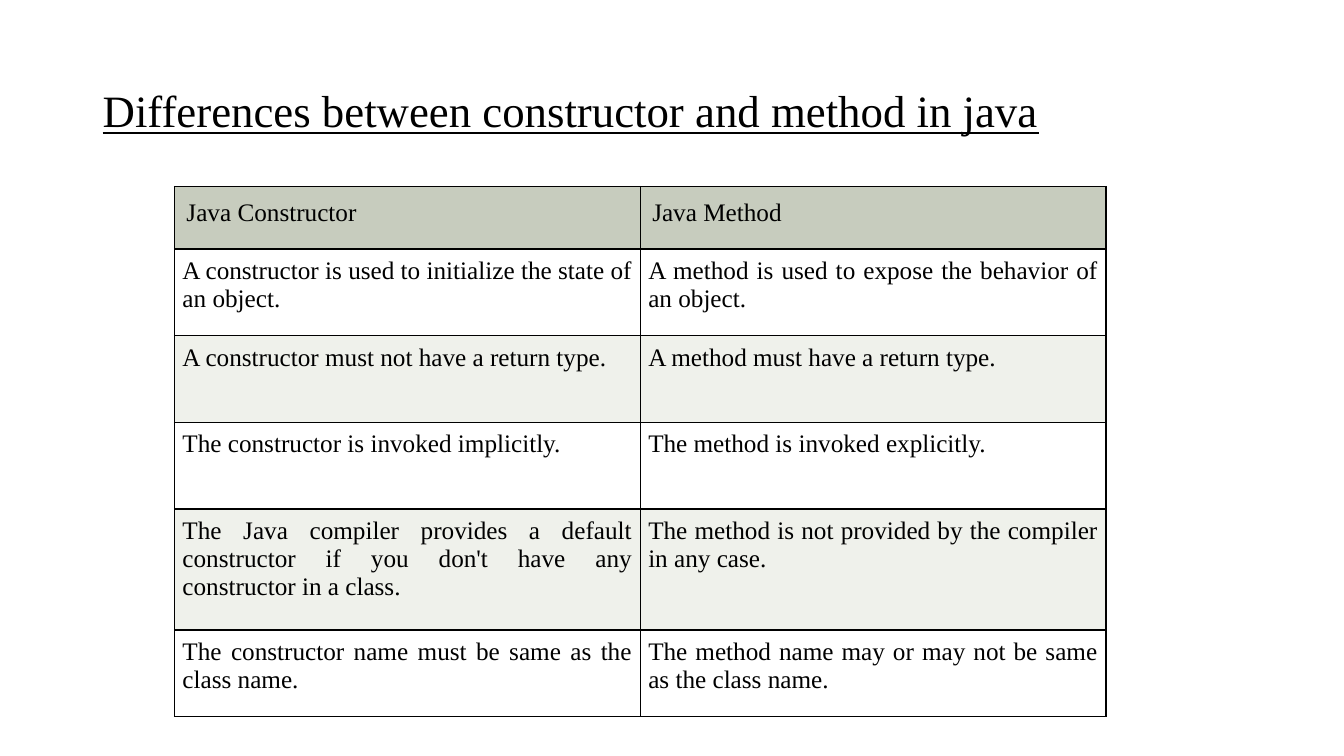
"""Build a slide with a table of differences between constructors and methods."""
from lxml.etree import SubElement
from pptx import Presentation
from pptx.dml.color import RGBColor
from pptx.enum.text import MSO_ANCHOR, PP_ALIGN
from pptx.oxml.ns import qn
from pptx.util import Inches, Pt

BLACK = RGBColor(0x00, 0x00, 0x00)
WHITE = RGBColor(0xFF, 0xFF, 0xFF)
SAGE = RGBColor(0xC7, 0xCC, 0xBE)
PALE = RGBColor(0xEF, 0xF1, 0xEB)
FONT = "Times New Roman"

ROWS = [
    (0.62, "Java Constructor", "Java Method"),
    (0.86, "A constructor is used to initialize the state of an object.",
     "A method is used to expose the behavior of an object."),
    (0.86, "A constructor must not have a return type.",
     "A method must have a return type."),
    (0.86, "The constructor is invoked implicitly.",
     "The method is invoked explicitly."),
    (1.2, "The Java compiler provides a default constructor if you don't have any constructor in a class.",
     "The method is not provided by the compiler in any case."),
    (0.86, "The constructor name must be same as the class name.",
     "The method name may or may not be same as the class name."),
]


def write(para, text, size):
    run = para.add_run()
    run.text = text
    run.font.name = FONT
    run.font.size = Pt(size)
    run.font.color.rgb = BLACK
    return run


def border(cell):
    props = cell._tc.get_or_add_tcPr()
    for side in ("a:lnL", "a:lnR", "a:lnT", "a:lnB"):
        line = SubElement(props, qn(side), w=str(Pt(1)))
        fill = SubElement(line, qn("a:solidFill"))
        SubElement(fill, qn("a:srgbClr"), val=str(BLACK))


deck = Presentation()
deck.slide_width = Inches(13.33)
deck.slide_height = Inches(7.5)
slide = deck.slides.add_slide(deck.slide_layouts[6])

title = slide.shapes.add_textbox(Inches(0.92), Inches(0.4), Inches(11.5), Inches(1.45))
frame = title.text_frame
frame.word_wrap = True
frame.vertical_anchor = MSO_ANCHOR.MIDDLE
frame.paragraphs[0].line_spacing = 0.9
head = write(frame.paragraphs[0], "Differences between constructor and method in java", 32)
head.font.underline = True

table = slide.shapes.add_table(
    len(ROWS), 2, Inches(1.73), Inches(1.85), Inches(9.24), Inches(5.25)).table
for col in table.columns:
    col.width = Inches(4.62)

for r, (height, *texts) in enumerate(ROWS):
    table.rows[r].height = Inches(height)
    inset = Inches(0.08 if r else 0.12)
    shade = (PALE if r % 2 == 0 else WHITE) if r else SAGE
    for c, text in enumerate(texts):
        cell = table.cell(r, c)
        cell.margin_left = cell.margin_right = inset
        cell.margin_top = cell.margin_bottom = inset
        border(cell)
        cell.fill.solid()
        cell.fill.fore_color.rgb = shade
        para = cell.text_frame.paragraphs[0]
        para.alignment = PP_ALIGN.JUSTIFY if r else PP_ALIGN.LEFT
        write(para, text, 18)

deck.save("out.pptx")
